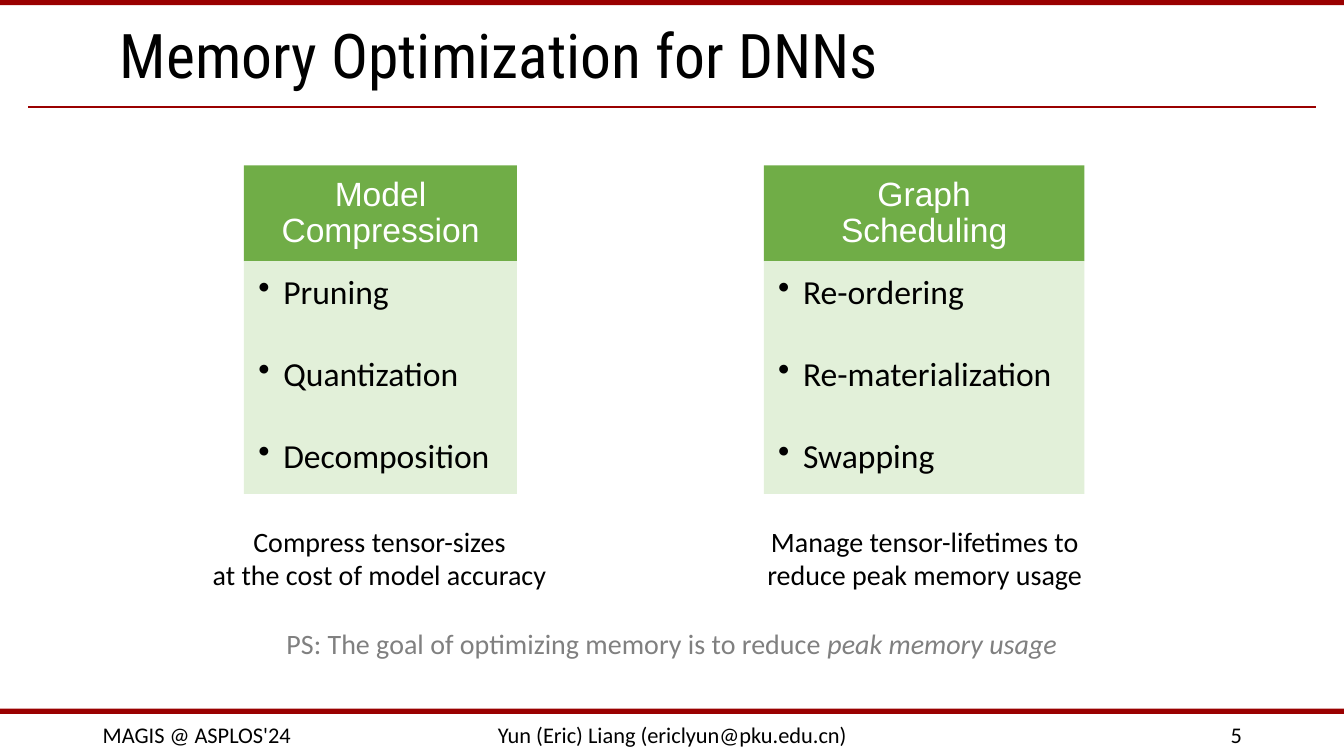
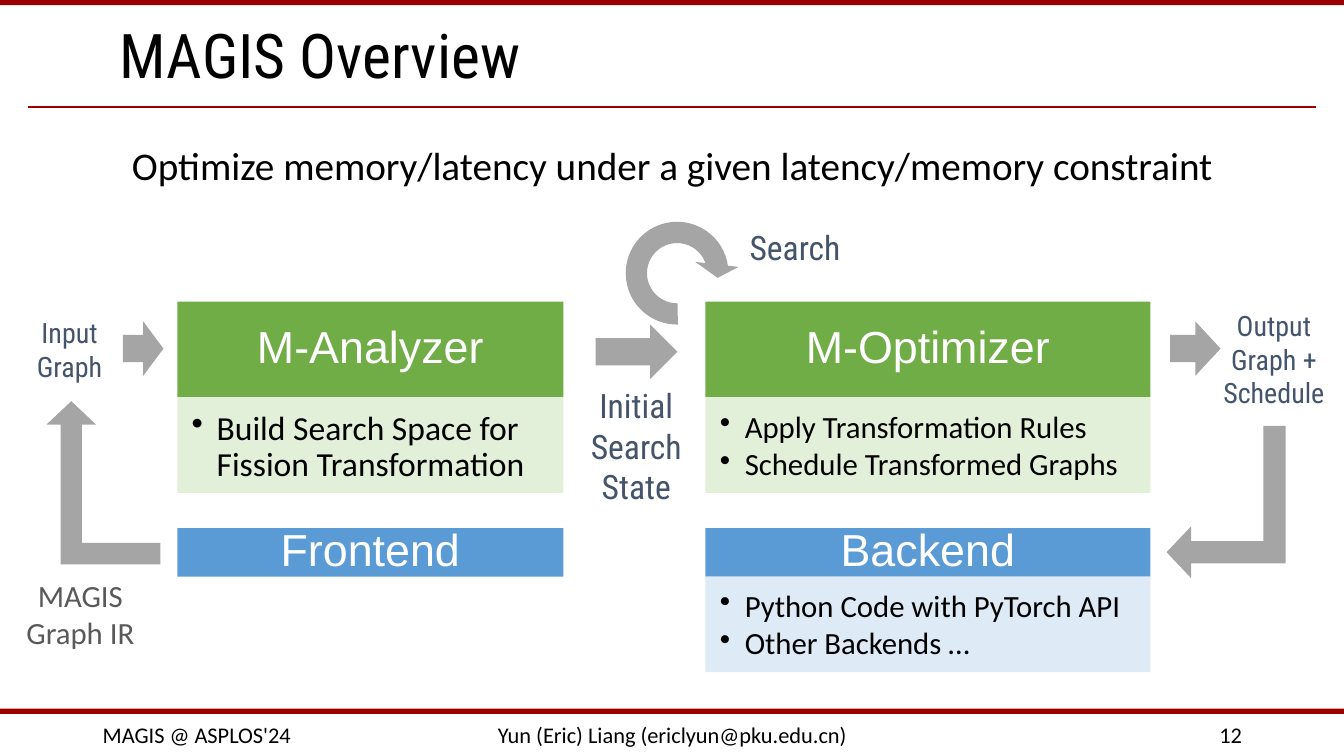
from lxml import etree
from pptx import Presentation
from pptx.dml.color import RGBColor
from pptx.enum import shapes, text
from pptx.oxml import ns
from pptx.util import Cm, Pt

RED = RGBColor(0x9A, 0x00, 0x00)
BLACK = RGBColor(0x00, 0x00, 0x00)
WHITE = RGBColor(0xFF, 0xFF, 0xFF)
GREEN = RGBColor(0x70, 0xAD, 0x47)
PALE_GREEN = RGBColor(0xE2, 0xF0, 0xD9)
BLUE = RGBColor(0x5B, 0x9B, 0xD5)
PALE_BLUE = RGBColor(0xDE, 0xEB, 0xF7)
ARROW_GREY = RGBColor(0xA5, 0xA5, 0xA5)
NOTE_GREY = RGBColor(0x80, 0x80, 0x80)
DARK_GREY = RGBColor(0x59, 0x59, 0x59)
SLATE = RGBColor(0x44, 0x54, 0x6A)

BODY_FONT = "Calibri"
TITLE_FONT = "Roboto Condensed"
HEAD_FONT = "Arial"

LEFT, CENTER, RIGHT = text.PP_ALIGN.LEFT, text.PP_ALIGN.CENTER, text.PP_ALIGN.RIGHT
TOP, MIDDLE = text.MSO_ANCHOR.TOP, text.MSO_ANCHOR.MIDDLE
TEXT_INSETS = (0.25, 0.13, 0.25, 0.13)
BODY_INSETS = (0.36, 0.36, 0.48, 0.53)
BENT_ARROW = (0.187, 0.218, 0.206)
CIRCULAR_ARROW = (0.17, 11.387, 208.565, 53.48, 0.174)


def lengths(area):
    return [Cm(value) for value in area]


def add_bullet(para):
    properties = para._p.get_or_add_pPr()
    properties.set("marL", str(Cm(0.63)))
    properties.set("indent", str(-Cm(0.63)))
    bullet = etree.SubElement(properties, ns.qn("a:buChar"))
    bullet.set("char", "•")


def format_font(font, color, **values):
    for name, value in values.items():
        setattr(font, name, value)
    font.color.rgb = color


def write(shape, lines, size, color=BLACK, name=BODY_FONT, align=LEFT, anchor=TOP,
          insets=TEXT_INSETS, spacing=1.0, gap=0, bullets=False):
    """Fill a shape with paragraphs; a line is a string or a list of (text, format) spans."""
    frame = shape.text_frame
    frame.word_wrap = True
    frame.vertical_anchor = anchor
    for side, inset in zip(("left", "top", "right", "bottom"), insets):
        setattr(frame, f"margin_{side}", Cm(inset))
    for index, line in enumerate(lines):
        para = frame.add_paragraph() if index else frame.paragraphs[0]
        if bullets:
            add_bullet(para)
        para.alignment = align
        para.line_spacing = spacing
        para.space_before = Pt(gap if index else 0)
        spans = [(line, {})] if isinstance(line, str) else line
        for content, values in spans:
            span = para.add_run()
            span.text = content
            format_font(span.font, color, name=name, size=Pt(size), **values)


def add_text(slide, area, lines, size, **style):
    write(slide.shapes.add_textbox(*lengths(area)), lines, size, **style)


def add_block(slide, kind, area, fill, adjustments=()):
    shape = slide.shapes.add_shape(kind, *lengths(area))
    shape.shadow.inherit = False
    shape.fill.solid()
    shape.fill.fore_color.rgb = fill
    shape.line.fill.background()
    for index, value in enumerate(adjustments):
        shape.adjustments[index] = value
    return shape


def add_bent_arrow(slide, area, rotation):
    arrow = add_block(slide, shapes.MSO_SHAPE.BENT_UP_ARROW, area, ARROW_GREY, BENT_ARROW)
    arrow.rotation = rotation
    arrow._element.spPr.find(ns.qn("a:xfrm")).set("flipV", "1")


def add_header(slide, area, title, fill, size, side=0.48):
    header = add_block(slide, shapes.MSO_SHAPE.RECTANGLE, area, fill)
    write(header, [title], size, color=WHITE, name=HEAD_FONT, align=CENTER, anchor=MIDDLE,
          insets=(side, 0.28, side, 0.28), spacing=0.9)


def add_list(slide, area, items, fill, size, gap):
    panel = add_block(slide, shapes.MSO_SHAPE.RECTANGLE, area, fill)
    write(panel, items, size, insets=BODY_INSETS, spacing=0.9, gap=gap, bullets=True)


def add_frame(slide, title, number):
    """Draw the bands, rule, title and footer that every slide has."""
    for top in (0, 17.86):
        add_block(slide, shapes.MSO_SHAPE.RECTANGLE, (0, top, 33.87, 0.13), RED)
    rule = slide.shapes.add_connector(shapes.MSO_CONNECTOR.STRAIGHT,
                                      *lengths((0.71, 2.69, 33.17, 2.69)))
    rule.line.color.rgb = RED
    rule.line.width = Pt(1.5)
    etree.SubElement(rule._element.spPr, ns.qn("a:effectLst"))
    add_text(slide, (2.77, 0.43, 29.21, 2.11), [title], 44, name=TITLE_FONT,
             anchor=MIDDLE, spacing=0.9)
    footers = (
        (2.34, 7.62, "MAGIS @ ASPLOS'24", LEFT),
        (11.23, 11.43, "Yun (Eric) Liang (ericlyun@pku.edu.cn)", CENTER),
        (23.93, 7.62, number, RIGHT),
    )
    for left, width, content, align in footers:
        add_text(slide, (left, 18.01, width, 1.02), [content], 16, align=align, anchor=MIDDLE)


def build_memory_optimization(slide):
    add_frame(slide, "Memory Optimization for DNNs", "5")
    columns = (
        (6.15, 6.88, 0.48, "Model Compression",
         ["Pruning", "Quantization", "Decomposition"],
         4.8, ["Compress tensor-sizes", "at the cost of model accuracy"]),
        (19.25, 8.08, 1, "Graph Scheduling",
         ["Re-ordering", "Re-materialization", "Swapping"],
         18.54, ["Manage tensor-lifetimes to reduce peak memory usage"]),
    )
    for left, width, side, title, items, caption_left, caption in columns:
        add_header(slide, (left, 4.17, width, 2.41), title, GREEN, 24, side)
        add_list(slide, (left, 6.58, width, 5.87), items, PALE_GREEN, 24, gap=32.5)
        add_text(slide, (caption_left, 13.08, 9.53, 1.96), caption, 20, align=CENTER)
    remark = [("PS: The goal of optimizing memory is to reduce ", {}),
              ("peak memory usage", {"italic": True})]
    add_text(slide, (6.53, 15.65, 20.8, 1.12), [remark], 20, color=NOTE_GREY, align=CENTER)


def build_overview(slide):
    add_frame(slide, "MAGIS Overview", "12")
    add_text(slide, (2.03, 3.43, 29.82, 1.45),
             ["Optimize memory/latency under a given latency/memory constraint"],
             28, align=CENTER)

    left_column, right_column = (4.47, 9.73), (17.78, 11.21)
    cards = (
        (left_column, 7.6, 2.41, "M-Analyzer", GREEN,
         ["Build Search Space for Fission Transformation"], PALE_GREEN, 24),
        (right_column, 7.6, 2.41, "M-Optimizer", GREEN,
         ["Apply Transformation Rules", "Schedule Transformed Graphs"], PALE_GREEN, 22),
        (left_column, 13.31, 1.22, "Frontend", BLUE, [], None, 0),
        (right_column, 13.31, 1.22, "Backend", BLUE,
         ["Python Code with PyTorch API", "Other Backends …"], PALE_BLUE, 22),
    )
    for (left, width), top, height, title, fill, items, pale, size in cards:
        add_header(slide, (left, top, width, height), title, fill, 32)
        if items:
            add_list(slide, (left, top + height, width, 2.41), items, pale, size, gap=3)

    for left, top, width in ((3.1, 8.1, 1.02), (15.01, 8.18, 2.06), (29.49, 8.1, 1.27)):
        add_block(slide, shapes.MSO_SHAPE.RIGHT_ARROW, (left, top, width, 1.37), ARROW_GREY)
    add_block(slide, shapes.MSO_SHAPE.CIRCULAR_ARROW, (15.49, 5.31, 3.15, 3.15),
              ARROW_GREY, CIRCULAR_ARROW)
    add_bent_arrow(slide, (28.98, 11.15, 3.84, 3), 90)
    add_bent_arrow(slide, (1.17, 10.11, 2.87, 4.11), 180)

    labels = (
        ((0, 7.82, 3.51, 1.96), ["Input Graph"], 20, CENTER),
        ((30.35, 7.65, 3.51, 2.82), ["Output Graph + Schedule"], 20, CENTER),
        ((18.64, 5.59, 3.15, 1.27), ["Search"], 24, LEFT),
        ((14.55, 9.58, 2.97, 3.33), ["Initial", "Search", "State"], 24, CENTER),
    )
    for area, lines, size, align in labels:
        add_text(slide, area, lines, size, color=SLATE, name=TITLE_FONT, align=align)
    add_text(slide, (0.36, 14.5, 3.33, 2.08), ["MAGIS", "Graph IR"], 22,
             color=DARK_GREY, align=CENTER, spacing=0.9, gap=3)


def main():
    deck = Presentation()
    deck.slide_width, deck.slide_height = Cm(33.87), Cm(19.05)
    blank = deck.slide_layouts[6]
    for build in (build_memory_optimization, build_overview):
        build(deck.slides.add_slide(blank))
    deck.save("out.pptx")


if __name__ == "__main__":
    main()
